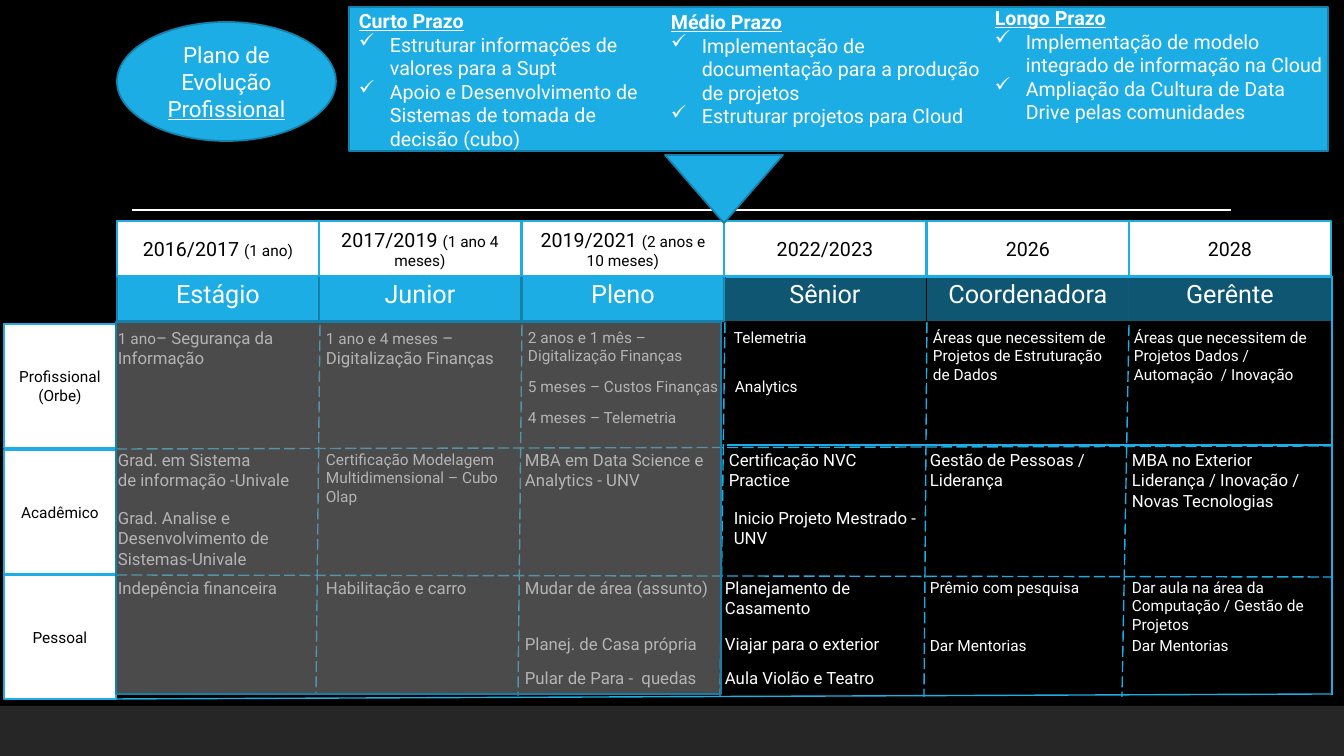
"""Builds the professional evolution plan slide."""
from lxml.etree import SubElement
from pptx import Presentation
from pptx.dml.color import RGBColor
from pptx.enum.dml import MSO_LINE
from pptx.enum.shapes import MSO_CONNECTOR, MSO_SHAPE
from pptx.enum.text import MSO_ANCHOR, MSO_AUTO_SIZE, PP_ALIGN
from pptx.oxml.ns import qn
from pptx.util import Pt

SCALE = 914400 / 100.8
FONT = "Roboto"
C = {"black": "000000", "white": "FFFFFF", "blue": "1CADE4", "edge": "1580A9",
     "band": "262626", "veil": "808080"}

COLUMNS = [
    ("2016/2017 ", "(1 ano)", "Estágio"),
    ("2017/2019 ", "(1 ano 4 meses)", "Junior"),
    ("2019/2021 ", "(2 anos e 10 meses)", "Pleno"),
    ("2022/2023", "", "Sênior"),
    ("2026", "", "Coordenadora"),
    ("2028", "", "Gerênte"),
]
COL_X, COL_STEP, COL_W, HEAD_H = 117, 202.4, 202, 55
YEAR_Y, LEVEL_Y = 221, 266
DONE = 3

AREAS = [["Profissional", "(Orbe)"], ["Acadêmico"], ["Pessoal"]]
AREA_X, AREA_Y, AREA_STEP, AREA_W, AREA_H = 4, 324, 125.5, 112, 124

DASHED = [
    (116, 449, 1332, 446), (116, 575, 1332, 577),
    (320, 325, 316, 694), (522, 325, 518, 696), (725, 322, 720, 696),
    (927, 322, 924, 697), (1129, 325, 1122, 697),
]
SOLID = [(116, 699, 1332, 694), (1332, 276, 1332, 695),
         (727, 445, 1332, 445), (726, 277, 1331, 277)]

# x, y, width, line count, paragraphs of (text, size) runs
NOTES = [
    (108, 323, 184, 2, [[("1 ano", 11), ("– Segurança da Informação", 12)]]),
    (108, 445, 228, 2, [[("Grad. em Sistema", 12)], [("de informação -Univale", 12)]]),
    (108, 503, 228, 3, [[("Grad. Analise e Desenvolvimento de Sistemas-Univale", 12)]]),
    (108, 573, 208, 1, [[("Indepência financeira", 12)]]),
    (316, 323, 204, 2, [[("1 ano e 4 meses ", 11), ("– Digitalização Finanças", 12)]]),
    (316, 445, 204, 3, [[("Certificação Modelagem Multidimensional – Cubo Olap", 11)]]),
    (316, 573, 204, 1, [[("Habilitação e carro", 12)]]),
    (518, 323, 223, 2, [[("2 anos e 1 mês – Digitalização Finanças", 11)]]),
    (518, 372, 233, 1, [[("5 meses – Custos Finanças", 11)]]),
    (518, 403, 233, 1, [[("4 meses – Telemetria", 11)]]),
    (515, 445, 210, 2, [[("MBA em Data Science e Analytics - UNV", 12)]]),
    (515, 573, 227, 1, [[("Mudar de área (assunto)", 12)]]),
    (515, 629, 206, 1, [[("Planej. de Casa própria", 12)]]),
    (515, 663, 208, 1, [[("Pular de Para -  quedas", 12)]]),
    (724, 323, 204, 1, [[("Telemetria", 11)]]),
    (725, 372, 204, 1, [[("Analytics", 11)]]),
    (719, 445, 210, 2, [[("Certificação NVC Practice", 12)]]),
    (724, 503, 227, 2, [[("Inicio Projeto Mestrado - UNV", 12)]]),
    (715, 573, 210, 2, [[("Planejamento de Casamento", 12)]]),
    (715, 629, 216, 1, [[("Viajar para o exterior", 12)]]),
    (715, 663, 216, 1, [[("Aula Violão e Teatro", 12)]]),
    (923, 323, 209, 3, [[("Áreas que necessitem de Projetos de Estruturação de Dados", 11)]]),
    (920, 445, 184, 2, [[("Gestão de Pessoas / Liderança", 12)]]),
    (920, 573, 180, 1, [[("Prêmio com pesquisa", 11)]]),
    (920, 631, 180, 1, [[("Dar Mentorias", 11)]]),
    (1124, 323, 211, 3, [[("Áreas que necessitem de Projetos Dados / Automação  / Inovação", 11)]]),
    (1122, 445, 211, 3, [[("MBA no Exterior Liderança / Inovação / Novas Tecnologias", 12)]]),
    (1122, 573, 213, 3, [[("Dar aula na área da Computação / Gestão de Projetos", 11)]]),
    (1122, 631, 195, 1, [[("Dar Mentorias", 11)]]),
]

GOALS = [
    (349, 4, 330, "Curto Prazo", ["Estruturar informações de valores para a Supt",
     "Apoio e Desenvolvimento de Sistemas de tomada de decisão (cubo)"]),
    (661, 5, 330, "Médio Prazo", ["Implementação de documentação para a produção de projetos",
     "Estruturar projetos para Cloud"]),
    (985, 1, 359, "Longo Prazo", ["Implementação de modelo integrado de informação na Cloud",
     "Ampliação da Cultura de Data Drive pelas comunidades"]),
]
GOAL_H, GOAL_INDENT = 152, 31


def px(n):
    return round(n * SCALE)


def rgb(name):
    return RGBColor.from_string(C[name])


def write(tf, paragraphs, color="white", align=PP_ALIGN.LEFT):
    tf.word_wrap = True
    for i, runs in enumerate(paragraphs):
        p = tf.paragraphs[0] if i == 0 else tf.add_paragraph()
        p.alignment = align
        for text, size, *style in runs:
            r = p.add_run()
            r.text = text
            r.font.color.rgb = rgb(color)
            for key, value in {"name": FONT, "size": Pt(size), **(style[0] if style else {})}.items():
                setattr(r.font, key, value)


def add_shape(kind, box, fill, line=None, alpha=None, paragraphs=(), color="white"):
    s = shapes.add_shape(kind, *map(px, box))
    s.shadow.inherit = False
    s.fill.solid()
    s.fill.fore_color.rgb = rgb(fill)
    if alpha:
        clr = s._element.spPr.find(qn("a:solidFill"))[0]
        SubElement(clr, qn("a:alpha")).set("val", str(alpha * 1000))
    if line:
        s.line.color.rgb = rgb(line)
        s.line.width = Pt(1.25)
    else:
        s.line.fill.background()
    s.text_frame.vertical_anchor = MSO_ANCHOR.MIDDLE
    write(s.text_frame, paragraphs, color, PP_ALIGN.CENTER)


def add_line(ends, color, dash=None):
    s = shapes.add_connector(MSO_CONNECTOR.STRAIGHT, *map(px, ends))
    s.line.color.rgb = rgb(color)
    s.line.width = Pt(1)
    if dash:
        s.line.dash_style = dash
    SubElement(s._element.spPr, qn("a:effectLst"))


def add_text(box, paragraphs):
    tf = shapes.add_textbox(*map(px, box)).text_frame
    write(tf, paragraphs)
    tf.auto_size = MSO_AUTO_SIZE.SHAPE_TO_FIT_TEXT
    return tf


prs = Presentation()
prs.slide_width, prs.slide_height = px(1344), px(756)
slide = prs.slides.add_slide(prs.slide_layouts[6])
slide.background.fill.solid()
slide.background.fill.fore_color.rgb = rgb("black")
shapes = slide.shapes
RECT = MSO_SHAPE.RECTANGLE

add_shape(RECT, (0, 706, 1344, 50), "band")
add_line((132, 210, 1231, 210), "white")

for i, (years, length, level) in enumerate(COLUMNS):
    x = round(COL_X + i * COL_STEP)
    look = {"line": "edge"} if i < DONE else {"alpha": 50}
    add_shape(RECT, (x, LEVEL_Y, COL_W, HEAD_H), "blue", paragraphs=[[(level, 18)]], **look)
    runs = [(years, 14)] + ([(length, 11)] if length else [])
    add_shape(RECT, (x, YEAR_Y, COL_W, HEAD_H), "white", "blue", paragraphs=[runs], color="black")

for i, names in enumerate(AREAS):
    add_shape(RECT, (AREA_X, round(AREA_Y + i * AREA_STEP), AREA_W, AREA_H), "white", "blue",
              paragraphs=[[(name, 11)] for name in names], color="black")

for ends in DASHED:
    add_line(ends, "blue", MSO_LINE.LONG_DASH)
for ends in SOLID:
    add_line(ends, "blue")

for x, y, w, lines, paragraphs in NOTES:
    size = paragraphs[0][-1][1]
    add_text((x, y, w, round(10 + lines * size * 1.69)), paragraphs)

add_shape(MSO_SHAPE.FLOWCHART_MERGE, (665, 155, 118, 68), "blue", "edge")
add_shape(MSO_SHAPE.OVAL, (117, 22, 219, 119), "blue", "edge",
          paragraphs=[[("Plano de Evolução ", 16), ("Profissional", 16, {"underline": True})]])
add_shape(RECT, (349, 7, 979, 144), "blue", "edge")

for x, y, w, title, items in GOALS:
    heading = [(title, 14, {"bold": True, "underline": True})]
    tf = add_text((x, y, w, GOAL_H), [heading] + [[(item, 14)] for item in items])
    for p in tf.paragraphs[1:]:
        pPr = p._p.get_or_add_pPr()
        pPr.set("marL", str(px(GOAL_INDENT)))
        pPr.set("indent", str(-px(GOAL_INDENT)))
        SubElement(pPr, qn("a:buChar")).set("char", "✓")

add_shape(RECT, (116, 322, 605, 372), "veil", "edge", alpha=59)
prs.save("out.pptx")
